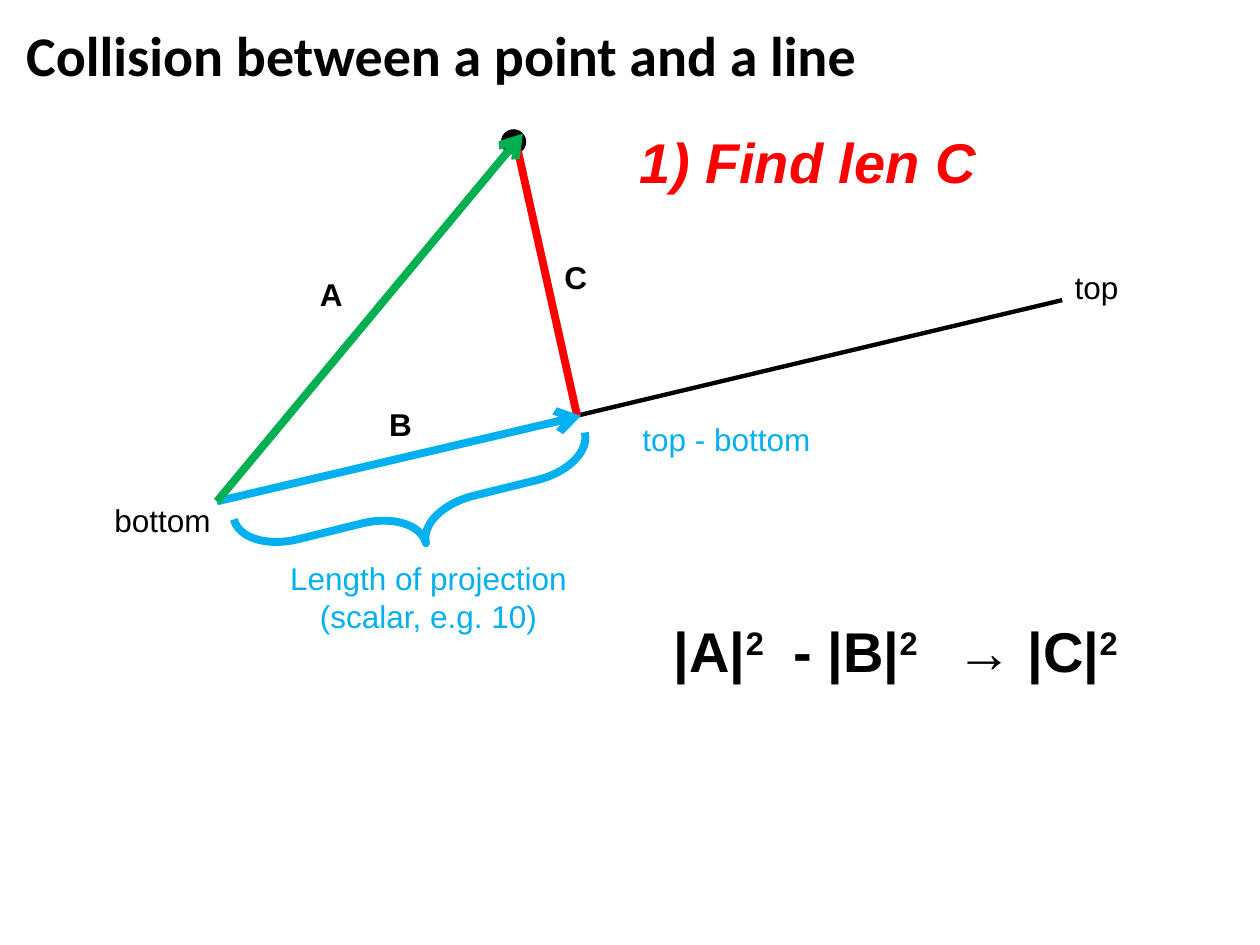
from lxml import etree
from pptx import Presentation
from pptx.dml.color import RGBColor
from pptx.enum import shapes, text
from pptx.oxml.ns import qn
from pptx.util import Pt

BLACK, RED, GREEN, BLUE = "000000", "FF0000", "00B050", "00B0F0"


def color(value):
    return RGBColor.from_string(value)


def add_text(slide, box, content, size=18, font="Arial", fill=BLACK, bold=False,
             italic=False, centered=False, exponent=None):
    """Place lines of text; an exponent is raised after the last line."""
    text_box = slide.shapes.add_textbox(*map(Pt, box))
    frame = text_box.text_frame
    frame.word_wrap = False
    frame.auto_size = text.MSO_AUTO_SIZE.SHAPE_TO_FIT_TEXT
    for index, line in enumerate(content.split("\n")):
        paragraph = frame.paragraphs[0] if index == 0 else frame.add_paragraph()
        paragraph.alignment = text.PP_ALIGN.CENTER if centered else text.PP_ALIGN.LEFT
        paragraph.add_run().text = line
    if exponent:
        raised = paragraph.add_run()
        raised.text = exponent
        raised.font._element.set("baseline", "30000")
    for paragraph in frame.paragraphs:
        for run in paragraph.runs:
            run.font.name = font
            run.font.size = Pt(size)
            run.font.bold = bold
            run.font.italic = italic
            run.font.color.rgb = color(fill)


def add_line(slide, start, end, stroke, width=4.5, arrow=False):
    connector = slide.shapes.add_connector(
        shapes.MSO_CONNECTOR.STRAIGHT, *map(Pt, (*start, *end)))
    connector.line.color.rgb = color(stroke)
    connector.line.width = Pt(width)
    if arrow:
        line = connector.line._get_or_add_ln()
        etree.SubElement(line, qn("a:tailEnd"), type="arrow")
    etree.SubElement(connector._element.spPr, qn("a:effectLst"))


def add_shape(slide, kind, box, stroke, width, fill=None):
    shape = slide.shapes.add_shape(kind, *map(Pt, box))
    shape.shadow.inherit = False
    shape.line.color.rgb = color(stroke)
    shape.line.width = Pt(width)
    if fill:
        shape.fill.solid()
        shape.fill.fore_color.rgb = color(fill)
    else:
        shape.fill.background()
    return shape


def draw_diagram(slide, left, top):
    def at(x, y, *extent):
        return (left + x, top + y, *extent)

    # Line to test against
    bottom = at(66, 216.5)
    add_line(slide, bottom, at(549, 101.5), BLACK, 2.5)
    add_text(slide, at(549, 79.8, 39.6, 28.8), "top")
    add_text(slide, at(0.3, 213, 69.8, 28.8), "bottom")

    # Point and the three vectors
    foot = at(274, 167.6)
    add_shape(slide, shapes.MSO_SHAPE.OVAL, at(228.6, 4.2, 13.7, 13.7), BLACK, 0.75, BLACK)
    add_line(slide, at(238, 16.4), at(271.8, 167.6), RED)
    add_line(slide, bottom, foot, BLUE, arrow=True)
    add_text(slide, at(302, 166.2, 115.2, 28.8), "top - bottom", fill=BLUE)
    add_line(slide, bottom, at(240.8, 6.3), GREEN, arrow=True)

    # Projection length
    brace = add_shape(slide, shapes.MSO_SHAPE.LEFT_BRACE,
                      at(160.9, 117.9, 39.6, 206.6), BLUE, 4.5)
    brace.adjustments[0] = 0.83
    brace.adjustments[1] = 0.5
    brace.rotation = 256.1
    add_text(slide, at(99.7, 246, 174.2, 51.1),
             "Length of projection\n(scalar, e.g. 10)", fill=BLUE, centered=True)

    # Vector names
    for name, x, y in (("A", 117.7, 83.4), ("B", 157.3, 158.2), ("C", 257.4, 74)):
        add_text(slide, at(x, y, 27.4, 28.8), name, bold=True)


def draw_equation(slide, left, top, height):
    for term, x, width in (("|A|", 0, 68.4), ("- |B|", 68.4, 87.8), ("→ |C|", 161.3, 108.7)):
        add_text(slide, (left + x, top, width, height), term,
                 size=32, bold=True, exponent="2")


def main():
    presentation = Presentation()
    presentation.slide_width, presentation.slide_height = Pt(720), Pt(540)
    slide = presentation.slides.add_slide(presentation.slide_layouts[6])

    # Title
    add_text(slide, (7.9, 7.9, 493.2, 46), "Collision between a point and a line",
             size=32, font="Calibri", bold=True)
    draw_diagram(slide, 58, 70)
    draw_equation(slide, 378, 348.5, 46)
    # Step heading
    add_text(slide, (358.6, 69.1, 208, 46), "1) Find len C",
             size=32, fill=RED, bold=True, italic=True)

    presentation.save("out.pptx")


if __name__ == "__main__":
    main()
